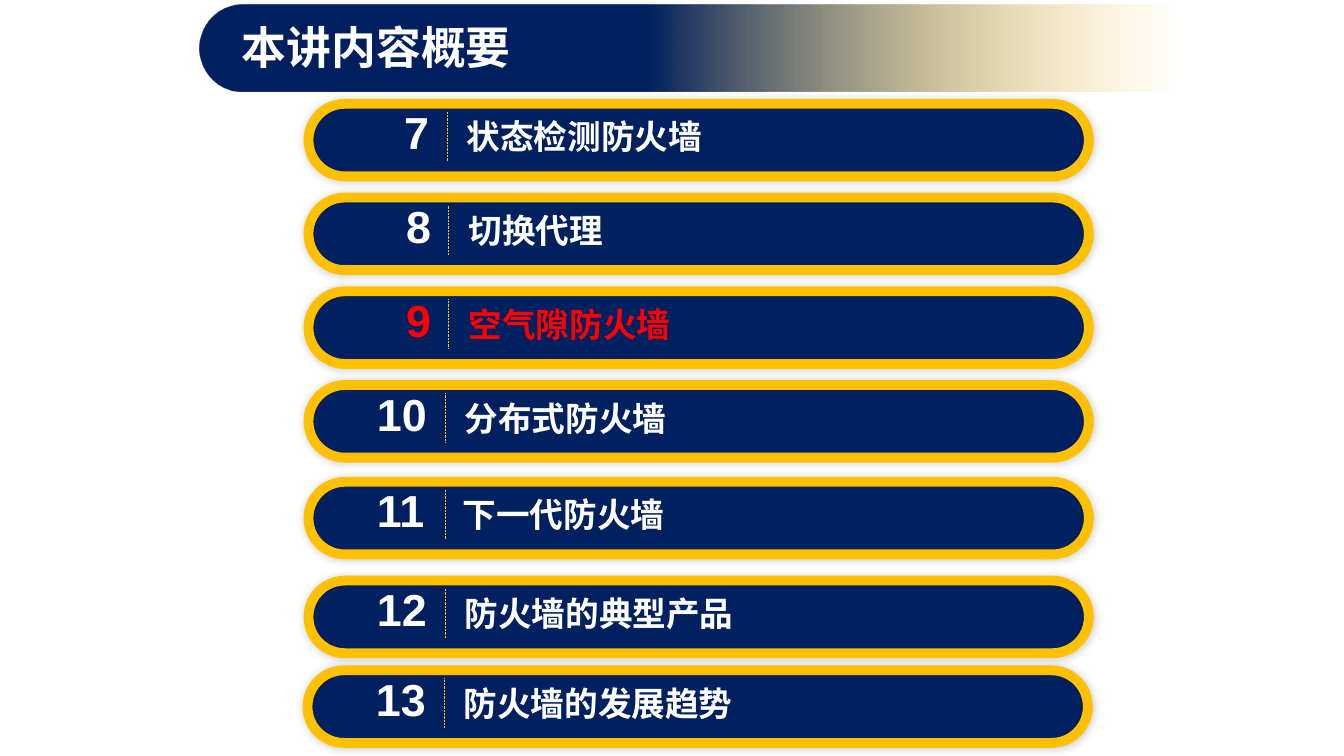
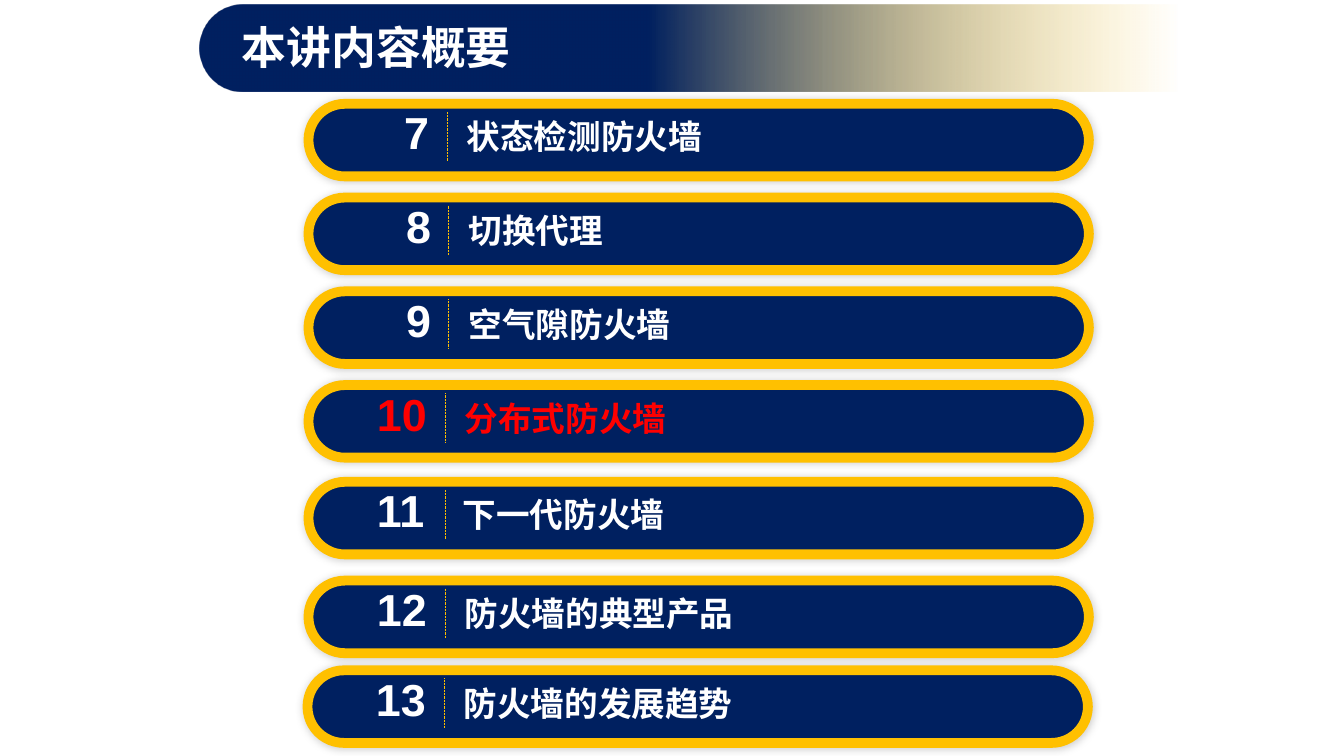
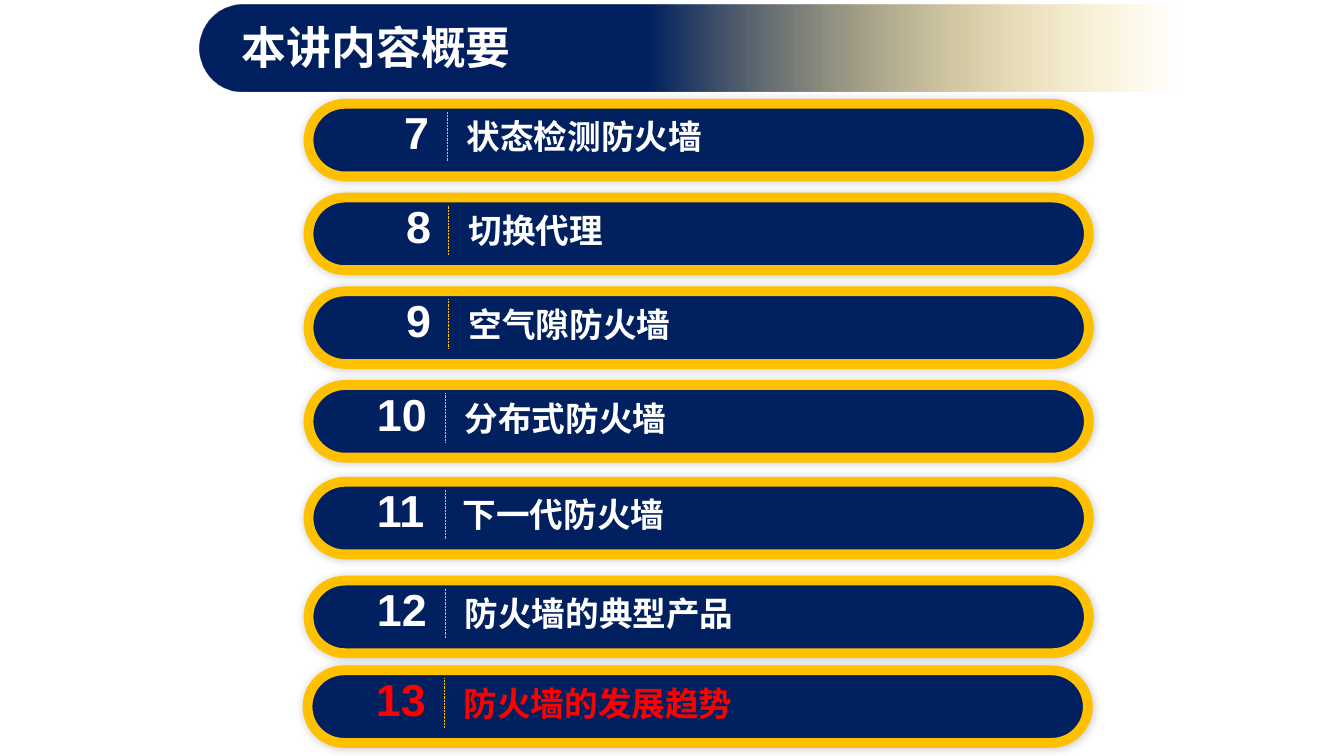
"""Build three outline slides that each highlight one chapter of the lecture."""

from dataclasses import dataclass

from lxml.etree import SubElement
from pptx import Presentation
from pptx.dml.color import RGBColor
from pptx.enum.dml import MSO_LINE
from pptx.enum.shapes import MSO_CONNECTOR, MSO_SHAPE
from pptx.enum.text import MSO_ANCHOR, MSO_AUTO_SIZE
from pptx.oxml.ns import qn
from pptx.shapes.autoshape import Shape
from pptx.shapes.group import GroupShape
from pptx.shapes.shapetree import GroupShapes
from pptx.slide import Slide
from pptx.text.text import _Run
from pptx.util import Emu, Pt

NAVY = RGBColor(0x00, 0x20, 0x60)
GOLD = RGBColor(0xFF, 0xC0, 0x00)
WHITE = RGBColor(0xFF, 0xFF, 0xFF)
RED = RGBColor(0xFF, 0x00, 0x00)
LATIN_FONT = "Arial"
CHINESE_FONT = "Noto Sans CJK SC"
EMU_PER_PX = 9144
LECTURE_TITLE = "本讲内容概要"


@dataclass(frozen=True)
class Chapter:
    """One pill of the outline, in px."""

    number: int
    title: str
    top: int
    text_left: int
    text_width: int
    divider_left: int
    tab: int = 87
    pill_left: int = 306


CHAPTERS = (
    Chapter(7, "状态检测防火墙", 103, 391, 325, 444, tab=62),
    Chapter(8, "切换代理", 196, 393, 505, 445, tab=62),
    Chapter(9, "空气隙防火墙", 289, 393, 291, 445, tab=62),
    Chapter(10, "分布式防火墙", 382, 364, 318, 442),
    Chapter(11, "下一代防火墙", 478, 364, 313, 442, tab=85),
    Chapter(12, "防火墙的典型产品", 576, 364, 382, 442),
    Chapter(13, "防火墙的发展趋势", 665, 363, 381, 441, pill_left=305),
)
HIGHLIGHTED_NUMBERS = (9, 10, 13)


def px(length: int) -> Emu:
    """Turn px into EMU."""
    return Emu(length * EMU_PER_PX)


def style_run(run: _Run, size: int, font_name: str, color: RGBColor) -> None:
    """Set bold type for Latin and Chinese characters alike."""
    run.font.size = Pt(size)
    run.font.bold = True
    run.font.color.rgb = color
    run.font.name = font_name
    SubElement(run.font._element, qn("a:ea"), typeface=font_name)


def add_pill(shapes: GroupShapes, left: int, top: int, width: int, height: int) -> Shape:
    """Add a fully rounded bar without shadow."""
    pill = shapes.add_shape(
        MSO_SHAPE.ROUNDED_RECTANGLE, px(left), px(top), px(width), px(height)
    )
    pill.adjustments[0] = 0.5
    pill.shadow.inherit = False
    return pill


def add_label(shapes: GroupShapes, left: int, top: int, width: int) -> Shape:
    """Add a one-line text box."""
    label = shapes.add_textbox(px(left), px(top), px(width), px(64))
    label.text_frame.word_wrap = True
    label.text_frame.auto_size = MSO_AUTO_SIZE.SHAPE_TO_FIT_TEXT
    return label


def add_soft_shadow(pill: Shape) -> None:
    """Surround a pill with a faint dark blur."""
    effects = pill._element.spPr.find(qn("a:effectLst"))
    shadow = SubElement(
        effects, qn("a:outerShdw"), blurRad=str(Pt(6)), dist="0", dir="18900000"
    )
    color = SubElement(shadow, qn("a:srgbClr"), val="000000")
    SubElement(color, qn("a:alpha"), val="20000")


def add_title(slide: Slide) -> None:
    """Add the title band that fades out to the right."""
    group: GroupShape = slide.shapes.add_group_shape()
    band = add_pill(group.shapes, 198, 5, 1055, 86)
    band.line.fill.background()
    band.fill.gradient()
    band.fill.gradient_angle = 0
    for stop, position, color in zip(
        band.fill.gradient_stops, (0.42, 0.92), (NAVY, GOLD)
    ):
        stop.position = position
        stop.color.rgb = color
    faded_color = list(band._element.spPr.iter(qn("a:srgbClr")))[-1]
    SubElement(faded_color, qn("a:alpha"), val="0")

    label = add_label(group.shapes, 230, 15, 326)
    label.text_frame.text = LECTURE_TITLE
    style_run(label.text_frame.paragraphs[0].runs[0], 32, CHINESE_FONT, WHITE)


def add_chapter(slide: Slide, chapter: Chapter, color: RGBColor) -> None:
    """Add a chapter pill with its number, divider and title."""
    group: GroupShape = slide.shapes.add_group_shape()
    pill = add_pill(group.shapes, chapter.pill_left, chapter.top, 774, 72)
    pill.fill.solid()
    pill.fill.fore_color.rgb = NAVY
    pill.line.color.rgb = GOLD
    pill.line.width = Pt(7)
    add_soft_shadow(pill)

    label = add_label(
        group.shapes, chapter.text_left, chapter.top - 4, chapter.text_width
    )
    label.text_frame.vertical_anchor = MSO_ANCHOR.MIDDLE
    paragraph = label.text_frame.paragraphs[0]
    tabs = SubElement(paragraph._p.get_or_add_pPr(), qn("a:tabLst"))
    SubElement(tabs, qn("a:tab"), pos=str(px(chapter.tab)), algn="l")
    for text, size, font_name in (
        (str(chapter.number), 32, LATIN_FONT),
        (f"\t{chapter.title}", 24, CHINESE_FONT),
    ):
        run = paragraph.add_run()
        run.text = text
        style_run(run, size, font_name, color)

    divider_x, divider_top = px(chapter.divider_left), chapter.top + 8
    divider = group.shapes.add_connector(
        MSO_CONNECTOR.STRAIGHT, divider_x, px(divider_top), divider_x, px(divider_top + 49)
    )
    divider.line.color.rgb = GOLD
    divider.line.width = Pt(0.5)
    divider.line.dash_style = MSO_LINE.ROUND_DOT
    SubElement(divider._element.spPr, qn("a:effectLst"))


def main() -> None:
    """Build and save the presentation."""
    presentation = Presentation()
    presentation.slide_width, presentation.slide_height = px(1333), px(750)
    for highlighted in HIGHLIGHTED_NUMBERS:
        slide = presentation.slides.add_slide(presentation.slide_layouts[6])
        add_title(slide)
        for chapter in CHAPTERS:
            add_chapter(slide, chapter, RED if chapter.number == highlighted else WHITE)
    presentation.save("out.pptx")


if __name__ == "__main__":
    main()
